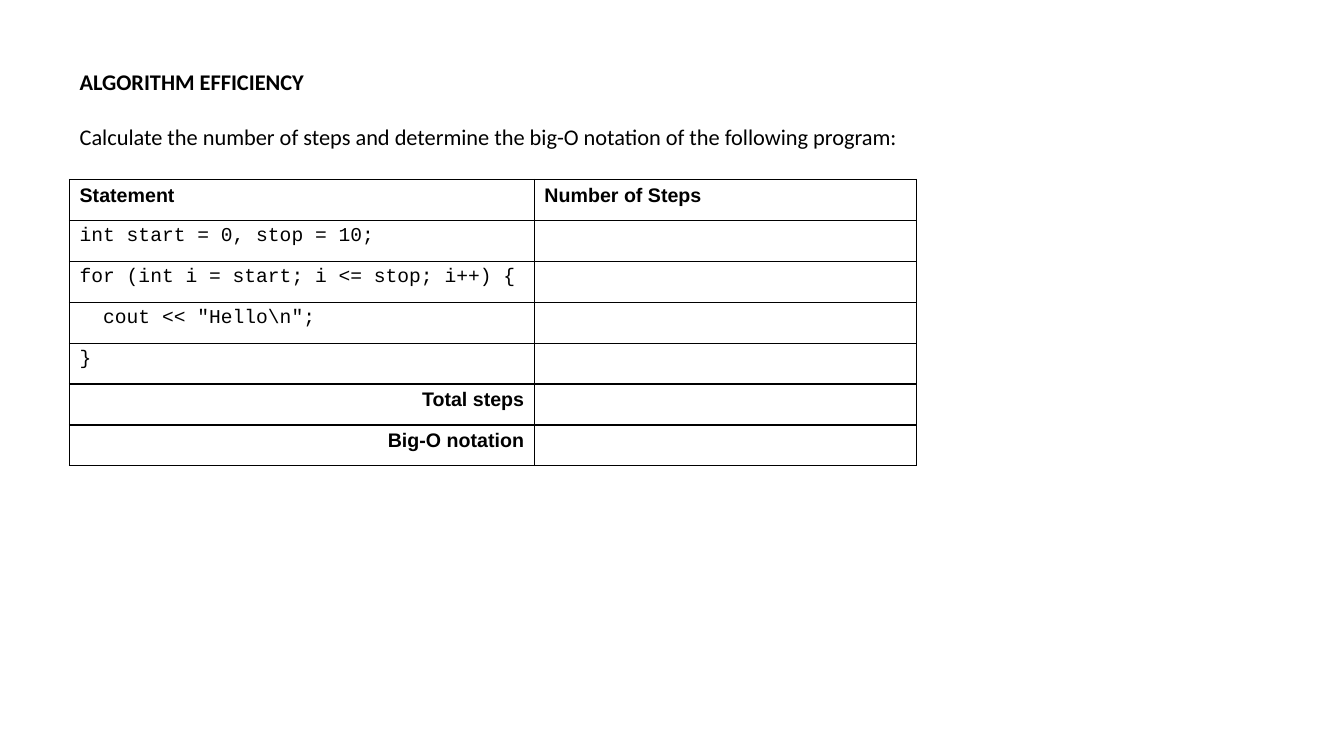
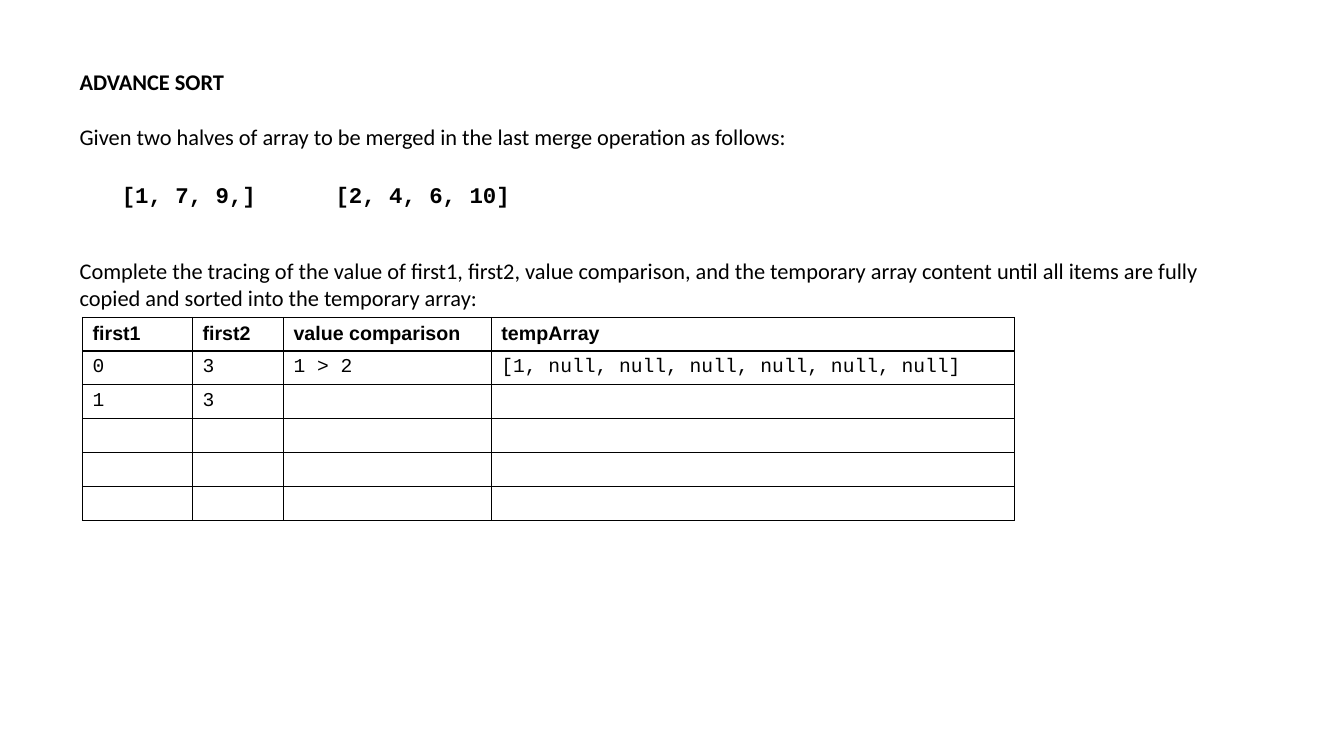
import pptx
import pptx.dml.color
import pptx.enum.text
import pptx.oxml.ns
import pptx.util
from dataclasses import dataclass
from lxml import etree

Pt = pptx.util.Pt
ALIGN = pptx.enum.text.PP_ALIGN
qn = pptx.oxml.ns.qn


@dataclass(frozen=True)
class Theme:
    ink: str = "000000"
    paper: str = "FFFFFF"
    prose_font: str = "Calibri"
    label_font: str = "Arial"
    code_font: str = "Courier New"
    prose_size: float = 16
    table_size: float = 14
    border: float = 1


THEME = Theme()
INK = pptx.dml.color.RGBColor.from_string(THEME.ink)

STYLES = {
    "title": dict(name=THEME.prose_font, size=Pt(THEME.prose_size), bold=True),
    "prose": dict(name=THEME.prose_font, size=Pt(THEME.prose_size), bold=False),
    "array": dict(name=THEME.code_font, size=Pt(THEME.prose_size), bold=True),
    "label": dict(name=THEME.label_font, size=Pt(THEME.table_size), bold=True),
    "code": dict(name=THEME.code_font, size=Pt(THEME.table_size), bold=False),
}

TITLE_BOX = (49.7, 45.4, 817, 27)
BODY_BOX = (49.7, 84, 817, 150)

SLIDES = [
    dict(
        title="ALGORITHM EFFICIENCY",
        body=["Calculate the number of steps and determine the big-O notation of the following program:"],
        arrays=[],
        table=dict(
            left=49.7, top=128.2, columns=[332, 273], row_height=29.25,
            header=["Statement", "Number of Steps"],
            code=[
                ["int start = 0, stop = 10;", ""],
                ["for (int i = start; i <= stop; i++) {", ""],
                [r'  cout << "Hello\n";', ""],
                ["}", ""],
            ],
            summary=[["Total steps", ""], ["Big-O notation", ""]],
        ),
    ),
    dict(
        title="ADVANCE SORT",
        body=[
            "Given two halves of array to be merged in the last merge operation as follows:",
            "Complete the tracing of the value of first1, first2, value comparison, and the temporary "
            "array content until all items are fully copied and sorted into the temporary array:",
        ],
        arrays=[
            ("[1, 7, 9,]", (80, 126, 122, 27)),
            ("[2, 4, 6, 10]", (232.6, 126, 151, 27)),
        ],
        table=dict(
            left=59, top=226.8, columns=[78.5, 65, 148.5, 373.5], row_height=24,
            header=["first1", "first2", "value comparison", "tempArray"],
            code=[
                ["0", "3", "1 > 2", "[1, null, null, null, null, null, null]"],
                ["1", "3", "", ""],
            ] + [[""] * 4] * 3,
            summary=[],
        ),
    ),
]
PARAGRAPH_GAP = 77


def set_values(target, values):
    for name, value in values.items():
        setattr(target, name, value)


def write(paragraph, text, style):
    run = paragraph.add_run()
    run.text = text
    set_values(run.font, STYLES[style])
    run.font.color.rgb = INK


def set_frame(shape, box):
    set_values(shape, dict(zip(("left", "top", "width", "height"), map(Pt, box))))
    set_values(shape.text_frame, dict(
        word_wrap=True,
        auto_size=pptx.enum.text.MSO_AUTO_SIZE.NONE,
        vertical_anchor=pptx.enum.text.MSO_ANCHOR.TOP,
        margin_left=Pt(7.2), margin_right=Pt(7.2),
        margin_top=Pt(3.6), margin_bottom=Pt(3.6),
    ))


def fill_frame(shape, box, texts, style):
    set_frame(shape, box)
    frame = shape.text_frame
    for index, text in enumerate(texts):
        paragraph = frame.add_paragraph() if index else frame.paragraphs[0]
        properties = paragraph._p.get_or_add_pPr()
        properties.set("marL", "0")
        properties.set("indent", "0")
        etree.SubElement(properties, qn("a:buNone"))
        set_values(paragraph, dict(
            alignment=ALIGN.LEFT,
            space_before=Pt(PARAGRAPH_GAP if index else 0),
            space_after=Pt(0),
        ))
        write(paragraph, text, style)


def add_borders(cell):
    properties = cell._tc.get_or_add_tcPr()
    for side in ("lnL", "lnR", "lnT", "lnB"):
        line = etree.SubElement(properties, qn(f"a:{side}"), w=str(int(Pt(THEME.border))))
        fill = etree.SubElement(line, qn("a:solidFill"))
        etree.SubElement(fill, qn("a:srgbClr"), val=THEME.ink)


def fill_cell(cell, text, style, alignment):
    add_borders(cell)
    cell.fill.solid()
    cell.fill.fore_color.rgb = pptx.dml.color.RGBColor.from_string(THEME.paper)
    paragraph = cell.text_frame.paragraphs[0]
    paragraph.alignment = alignment
    if text:
        write(paragraph, text, style)
    else:
        etree.SubElement(paragraph._p, qn("a:endParaRPr"), sz=str(int(THEME.table_size * 100)))


def add_table(slide, content):
    rows = [(content["header"], "label", ALIGN.LEFT)]
    rows += [(texts, "code", ALIGN.LEFT) for texts in content["code"]]
    rows += [(texts, "label", ALIGN.RIGHT) for texts in content["summary"]]
    columns, row_height = content["columns"], content["row_height"]
    table = slide.shapes.add_table(
        len(rows), len(columns), Pt(content["left"]), Pt(content["top"]),
        Pt(sum(columns)), Pt(row_height * len(rows)),
    ).table
    set_values(table, dict(first_row=False, horz_banding=False))
    for column, width in zip(table.columns, columns):
        column.width = Pt(width)
    for row, (texts, style, alignment) in zip(table.rows, rows):
        row.height = Pt(row_height)
        for cell, text in zip(row.cells, texts):
            fill_cell(cell, text, style, alignment)


def add_slide(presentation, content):
    slide = presentation.slides.add_slide(presentation.slide_layouts[1])
    fill_frame(slide.shapes.title, TITLE_BOX, [content["title"]], "title")
    fill_frame(slide.placeholders[1], BODY_BOX, content["body"], "prose")
    for text, box in content["arrays"]:
        fill_frame(slide.shapes.add_textbox(*map(Pt, box)), box, [text], "array")
    add_table(slide, content["table"])


def main():
    presentation = pptx.Presentation()
    set_values(presentation, dict(slide_width=Pt(960), slide_height=Pt(540)))
    for content in SLIDES:
        add_slide(presentation, content)
    presentation.save("out.pptx")


if __name__ == "__main__":
    main()
